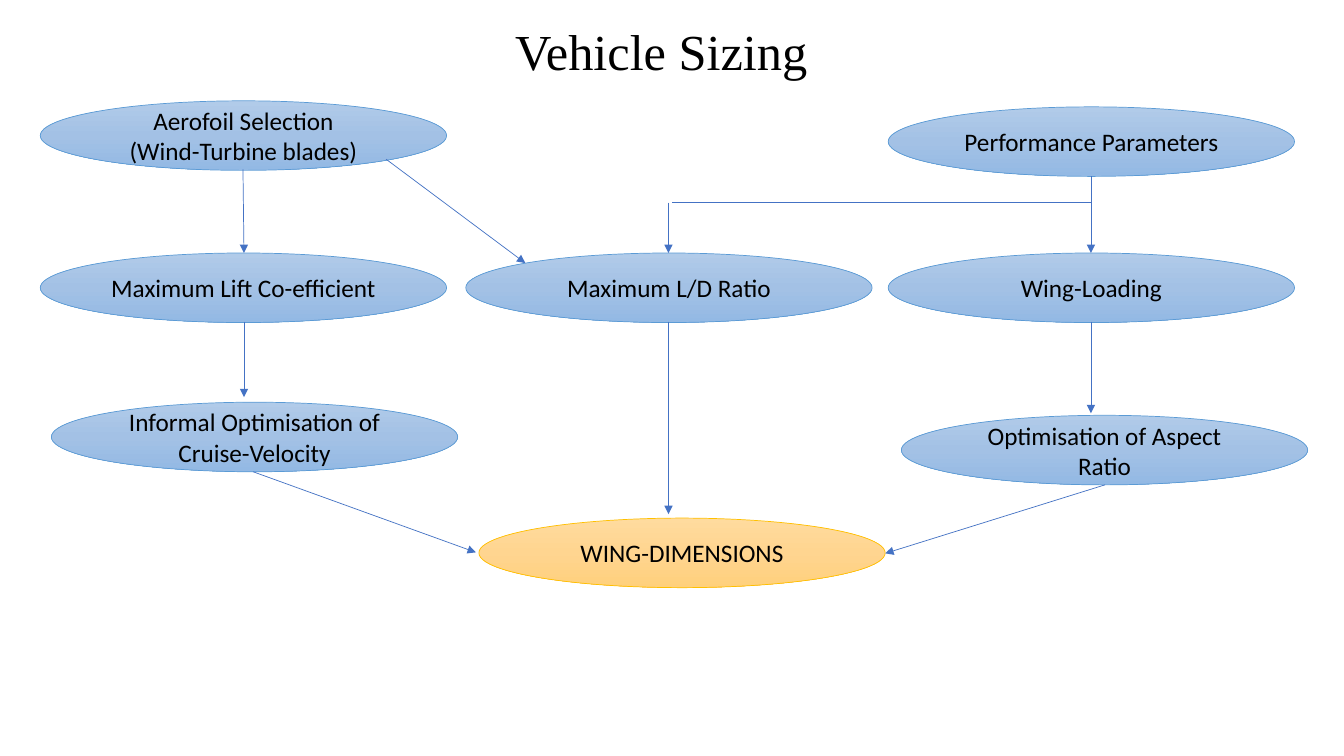
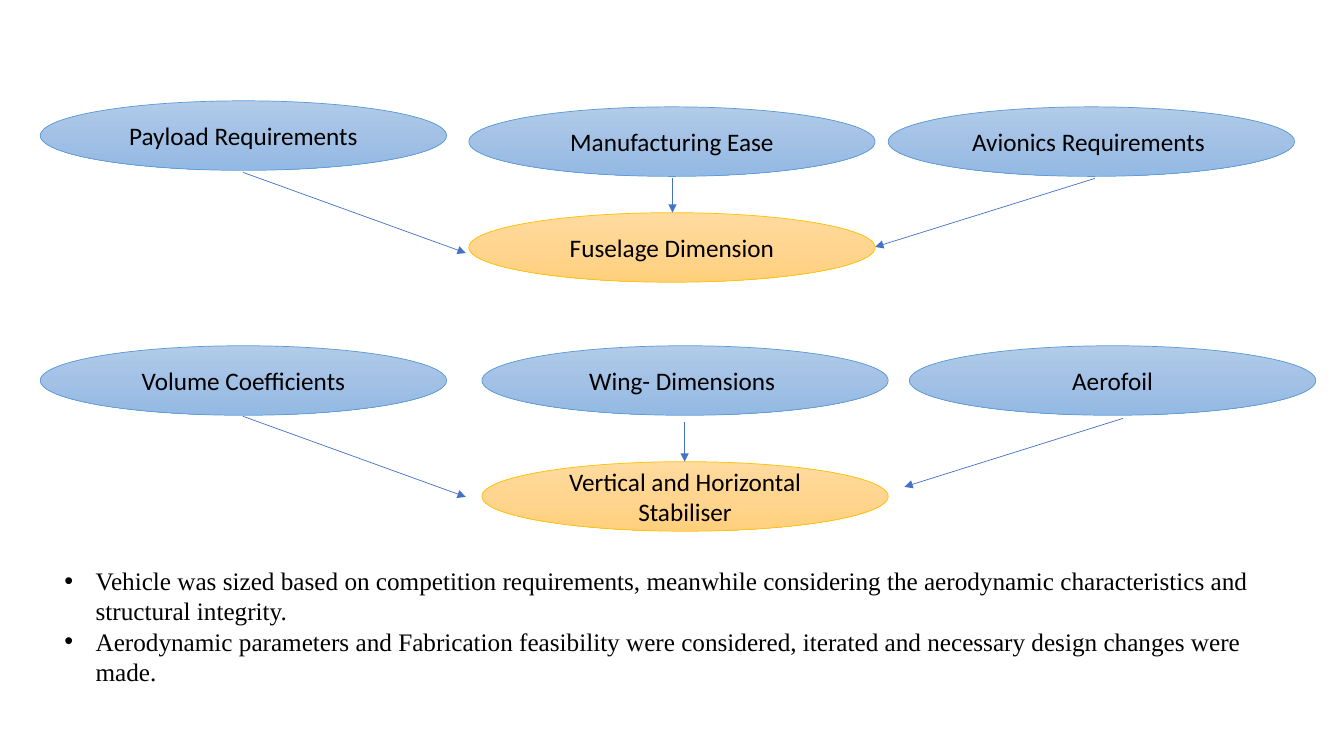
from copy import deepcopy

from pptx import Presentation
from pptx.dml.color import RGBColor
from pptx.enum.shapes import MSO_CONNECTOR, MSO_SHAPE
from pptx.enum.text import MSO_ANCHOR, MSO_AUTO_SIZE, PP_ALIGN
from pptx.oxml.ns import qn
from pptx.oxml.xmlchemy import OxmlElement
from pptx.util import Pt

PX = 9144  # 100 px to the inch
BLACK = RGBColor(0x00, 0x00, 0x00)
ARROW_BLUE = RGBColor(0x44, 0x72, 0xC4)
INPUT_STYLE = {
    "line": RGBColor(0x5B, 0x9B, 0xD5),
    "stops": [RGBColor(0xB1, 0xCB, 0xE9), RGBColor(0xA3, 0xC1, 0xE5), RGBColor(0x93, 0xB9, 0xE4)],
}
RESULT_STYLE = {
    "line": RGBColor(0xFF, 0xC0, 0x00),
    "stops": [RGBColor(0xFF, 0xDB, 0x9E), RGBColor(0xFF, 0xD5, 0x90), RGBColor(0xFF, 0xD0, 0x7C)],
}
TITLE_FONT = {"name": "Times New Roman", "size": Pt(36)}
LABEL_FONT = {"name": "Calibri", "size": Pt(18)}
BULLET_FONT = {"name": "Times New Roman", "size": Pt(18)}
TITLE_ONLY, BLANK = 5, 6

NODE_WIDTH, NODE_HEIGHT = 403, 69
LEFT, MIDDLE, RIGHT = 40, 462, 881
BULLET_INDENT = 31

# Nodes are (left, top, label, style); lines are (from x, from y, to x, to y, has arrowhead).
WING_NODES = [
    (LEFT, 100, "Aerofoil Selection\n(Wind-Turbine blades)", INPUT_STYLE),
    (RIGHT, 106, "Performance Parameters", INPUT_STYLE),
    (LEFT, 251, "Maximum Lift Co-efficient", INPUT_STYLE),
    (MIDDLE, 251, "Maximum L/D Ratio", INPUT_STYLE),
    (RIGHT, 251, "Wing-Loading", INPUT_STYLE),
    (51, 399, "Informal Optimisation of Cruise-Velocity", INPUT_STYLE),
    (894, 412, "Optimisation of Aspect Ratio", INPUT_STYLE),
    (475, 514, "WING-DIMENSIONS", RESULT_STYLE),
]
WING_LINES = [
    (241, 168, 242, 251, True),
    (383, 158, 521, 261, True),
    (1082, 175, 1082, 251, True),
    (1082, 201, 667, 201, False),
    (663, 201, 663, 251, True),
    (242, 319, 242, 394, True),
    (663, 319, 663, 510, True),
    (1082, 319, 1082, 410, True),
    (251, 468, 472, 548, True),
    (1096, 481, 878, 549, True),
]
BODY_NODES = [
    (LEFT, 100, "Payload Requirements", INPUT_STYLE),
    (465, 106, "Manufacturing Ease", INPUT_STYLE),
    (RIGHT, 106, "Avionics Requirements ", INPUT_STYLE),
    (465, 211, "Fuselage Dimension", RESULT_STYLE),
    (LEFT, 343, "Volume Coefficients", INPUT_STYLE),
    (478, 343, "Wing- Dimensions ", INPUT_STYLE),
    (902, 343, "Aerofoil", INPUT_STYLE),
    (478, 458, "Vertical and Horizontal Stabiliser", RESULT_STYLE),
]
BODY_LINES = [
    (241, 171, 462, 251, True),
    (667, 177, 667, 211, True),
    (1086, 177, 868, 245, True),
    (241, 413, 462, 493, True),
    (679, 419, 679, 458, True),
    (1114, 415, 897, 483, True),
]
BULLETS = [
    "Vehicle was sized based on competition requirements, meanwhile considering "
    "the aerodynamic characteristics and structural integrity.",
    "Aerodynamic parameters and Fabrication feasibility were considered, iterated "
    "and necessary design changes were made.",
]


def write_text(text_frame, text, font_values, alignment):
    text_frame.text = text
    text_frame.word_wrap = True
    for paragraph in text_frame.paragraphs:
        paragraph.alignment = alignment
        for run in paragraph.runs:
            run.font.color.rgb = BLACK
            for name, value in font_values.items():
                setattr(run.font, name, value)


def draw_flowchart(slide, nodes, lines):
    """Draw the gradient ellipses, then the lines that join them."""
    for left, top, label, style in nodes:
        box = [length * PX for length in (left, top, NODE_WIDTH, NODE_HEIGHT)]
        shape = slide.shapes.add_shape(MSO_SHAPE.OVAL, *box)
        shape.shadow.inherit = False
        shape.line.color.rgb = style["line"]
        shape.line.width = Pt(0.5)
        shape.fill.gradient()
        shape.fill.gradient_angle = 270
        stop_list = shape.element.spPr.find(".//" + qn("a:gsLst"))
        stop_list.insert(1, deepcopy(stop_list[0]))
        for index, stop in enumerate(shape.fill.gradient_stops):
            stop.position = index / 2
            stop.color.rgb = style["stops"][index]
        shape.text_frame.vertical_anchor = MSO_ANCHOR.MIDDLE
        write_text(shape.text_frame, label, LABEL_FONT, PP_ALIGN.CENTER)

    for *ends, has_arrowhead in lines:
        connector = slide.shapes.add_connector(
            MSO_CONNECTOR.STRAIGHT, *[length * PX for length in ends])
        connector.line.color.rgb = ARROW_BLUE
        connector.line.width = Pt(0.5)
        properties = connector.element.spPr
        if has_arrowhead:
            arrowhead = OxmlElement("a:tailEnd")
            arrowhead.set("type", "triangle")
            properties.find(qn("a:ln")).append(arrowhead)
        properties.append(OxmlElement("a:effectLst"))


presentation = Presentation()
presentation.slide_width = 1333 * PX
presentation.slide_height = 750 * PX

wing_slide = presentation.slides.add_slide(presentation.slide_layouts[TITLE_ONLY])
title = wing_slide.shapes.title
title.left, title.top, title.width, title.height = [length * PX for length in (70, 14, 1172, 80)]
write_text(title.text_frame, "Vehicle Sizing", TITLE_FONT, PP_ALIGN.CENTER)
title.text_frame.auto_size = MSO_AUTO_SIZE.NONE
title.text_frame.vertical_anchor = MSO_ANCHOR.MIDDLE
title.text_frame.paragraphs[0].line_spacing = 0.9
draw_flowchart(wing_slide, WING_NODES, WING_LINES)

body_slide = presentation.slides.add_slide(presentation.slide_layouts[BLANK])
draw_flowchart(body_slide, BODY_NODES, BODY_LINES)
summary = body_slide.shapes.add_textbox(*[length * PX for length in (54, 556, 1241, 162)])
write_text(summary.text_frame, "\n".join(BULLETS), BULLET_FONT, PP_ALIGN.LEFT)
summary.text_frame.auto_size = MSO_AUTO_SIZE.SHAPE_TO_FIT_TEXT
for paragraph in summary.text_frame.paragraphs:
    properties = paragraph._p.get_or_add_pPr()
    properties.set("marL", str(BULLET_INDENT * PX))
    properties.set("indent", str(-BULLET_INDENT * PX))
    for tag, attribute, value in (("a:buFont", "typeface", "Arial"), ("a:buChar", "char", "•")):
        bullet_part = OxmlElement(tag)
        bullet_part.set(attribute, value)
        properties.append(bullet_part)

presentation.save("out.pptx")
